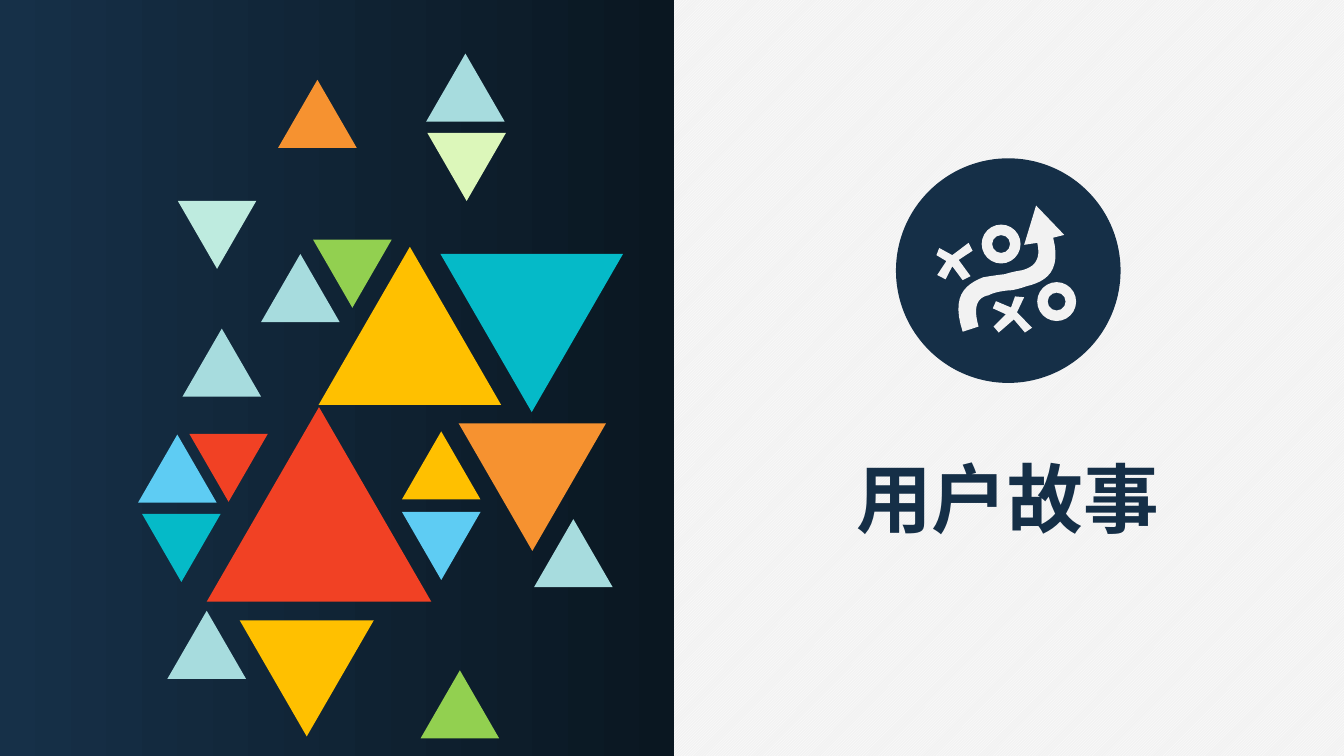
from math import sqrt
from typing import NamedTuple

from lxml.etree import SubElement
from pptx import Presentation
from pptx.dml.color import RGBColor
from pptx.enum.dml import MSO_PATTERN as Pattern
from pptx.enum.shapes import MSO_SHAPE as Kind
from pptx.enum.text import MSO_ANCHOR as Anchor, PP_ALIGN as Align
from pptx.oxml.ns import qn
from pptx.util import Cm, Pt

NAVY, NIGHT, PALE = "152F47", "0A1721", "F2F2F2"
AQUA, TEAL, SKY, MINT = "A7DCDE", "05BAC8", "5ECCF3", "BEEBDF"
RED, ORANGE, GOLD, GREEN, LIME = "F14124", "F69230", "FFC000", "92D050", "DCF7BA"
FONT = "Noto Sans CJK SC"
SMALL = 1.98


class Tile(NamedTuple):
    """An equilateral triangle: place and side in cm."""
    left: float
    top: float
    color: str
    down: bool = False
    side: float = SMALL


class Curve(NamedTuple):
    """A cubic curve from the current point to the end."""
    first: tuple
    second: tuple
    end: tuple


TILES = [
    Tile(6.58, 6.4, AQUA),
    Tile(10.74, 1.35, AQUA),
    Tile(4.48, 5.06, MINT, down=True),
    Tile(11.1, 6.4, TEAL, down=True, side=4.6),
    Tile(5.21, 10.26, RED, side=5.66),
    Tile(4.22, 15.39, AQUA),
    Tile(3.48, 10.95, SKY),
    Tile(7.01, 2.01, ORANGE),
    Tile(4.6, 8.28, AQUA),
    Tile(7.89, 6.04, GREEN, down=True),
    Tile(10.77, 3.35, LIME, down=True),
    Tile(3.58, 12.95, TEAL, down=True),
    Tile(11.56, 10.67, ORANGE, down=True, side=3.71),
    Tile(10.13, 10.87, GOLD),
    Tile(10.13, 12.9, SKY, down=True),
    Tile(4.77, 10.93, RED, down=True),
    Tile(6.04, 15.63, GOLD, down=True, side=3.38),
    Tile(13.46, 13.08, AQUA),
    Tile(8.03, 6.22, GOLD, side=4.6),
    Tile(10.6, 16.89, GREEN),
]

ARROW = [
    (24.26, 8.36),
    Curve((23.98, 7.49), (24.28, 7.19), (24.77, 6.99)),
    Curve((24.94, 6.96), (25.15, 6.93), (25.32, 6.91)),
    Curve((25.48, 6.86), (25.63, 6.83), (25.76, 6.81)),
    Curve((26.06, 6.73), (26.24, 6.55), (26.14, 6.12)),
    (25.81, 6.17), (26.11, 5.18), (26.82, 5.92), (26.54, 5.99),
    Curve((26.75, 6.81), (26.39, 7.09), (25.88, 7.21)),
    Curve((25.73, 7.26), (25.55, 7.32), (25.4, 7.32)),
    Curve((25.22, 7.34), (25.04, 7.37), (24.92, 7.44)),
    Curve((24.64, 7.49), (24.51, 7.7), (24.66, 8.23)),
]
CROSSES = [
    [(23.67, 6.25), (23.6, 6.43), (23.85, 6.58), (23.62, 6.93),
     (23.83, 7.04), (24, 6.71), (24.26, 7.06), (24.46, 6.96),
     (24.16, 6.55), (24.51, 6.32), (24.41, 6.12), (24, 6.43)],
    [(25.81, 7.49), (25.58, 7.47), (25.48, 7.75), (25.1, 7.59),
     (25.02, 7.77), (25.35, 7.92), (25.04, 8.23), (25.17, 8.38),
     (25.55, 8.05), (25.83, 8.38), (26.01, 8.26), (25.63, 7.87)],
]
RINGS = [(24.74, 5.66), (26.14, 7.11)]


def tint(color: str) -> RGBColor:
    """Turn a hex string into a colour."""
    return RGBColor.from_string(color)


def paint(shape, color: str):
    """Give a shape a plain fill with no line or shadow."""
    shape.shadow.inherit = False
    shape.line.fill.background()
    shape.fill.solid()
    shape.fill.fore_color.rgb = tint(color)
    return shape


def draw(shapes, kind, left: float, top: float, wide: float, high: float, color: str):
    """Add a painted preset shape, sized in cm."""
    shape = shapes.add_shape(kind, Cm(left), Cm(top), Cm(wide), Cm(high))
    return paint(shape, color)


def add_tile(shapes, tile: Tile) -> None:
    """Add one triangle, turned over if it points down."""
    shape = draw(shapes, Kind.ISOSCELES_TRIANGLE, tile.left, tile.top,
                 tile.side, tile.side * sqrt(3) / 2, tile.color)
    shape.rotation = 180 if tile.down else 0


def trace(steps: list, count: int = 12) -> list:
    """Turn points and curves into a list of points."""
    dots = []
    for step in steps:
        if not isinstance(step, Curve):
            dots.append(step)
            continue
        start = dots[-1]
        for i in range(1, count + 1):
            t = i / count
            u = 1 - t
            dots.append(tuple(
                u**3 * a + 3 * u * u * t * b + 3 * u * t * t * c + t**3 * d
                for a, b, c, d in zip(start, *step)))
    return dots


def outline(shapes, steps: list, color: str) -> None:
    """Add a closed painted outline."""
    dots = [(Cm(x), Cm(y)) for x, y in trace(steps)]
    form = shapes.build_freeform(*dots[0])
    form.add_line_segments(dots[1:], close=True)
    paint(form.convert_to_shape(), color)


def write(frame, text: str, *, size: float, color: str, bold: bool = False,
          align=Align.CENTER, anchor=Anchor.MIDDLE, wrap: bool = False) -> None:
    """Fill a text frame with one formatted line."""
    frame.word_wrap = wrap
    frame.vertical_anchor = anchor
    line = frame.paragraphs[0]
    line.alignment = align
    run = line.add_run()
    run.text = text
    font = run.font
    font.name, font.size, font.bold = FONT, Pt(size), bold
    font.color.rgb = tint(color)
    SubElement(run._r.get_or_add_rPr(), qn("a:ea")).set("typeface", FONT)


def add_panel(shapes) -> None:
    """Add the dark left panel with its gradient."""
    panel = draw(shapes, Kind.RECTANGLE, 0, 0, 17, 19.05, NAVY)
    panel.fill.gradient()
    panel.fill.gradient_angle = 0
    for stop, color in zip(panel.fill.gradient_stops, ("163048", NIGHT)):
        stop.color.rgb = tint(color)


def add_badge(shapes) -> None:
    """Add the round badge with arrow, crosses and rings."""
    badge = shapes.add_group_shape().shapes
    draw(badge, Kind.OVAL, 22.58, 3.99, 5.66, 5.66, NAVY)
    for steps in (ARROW, *CROSSES):
        outline(badge, steps, PALE)
    for left, top in RINGS:
        ring = draw(badge, Kind.DONUT, left, top, 0.98, 0.98, PALE)
        ring.adjustments[0] = 0.27


def main() -> None:
    """Build the slide and save it."""
    deck = Presentation()
    deck.slide_width, deck.slide_height = Cm(33.87), Cm(19.05)
    slide = deck.slides.add_slide(deck.slide_layouts.get_by_name("Title Only"))

    back = slide.background.fill
    back.patterned()
    back.pattern = Pattern.LIGHT_UPWARD_DIAGONAL
    back.fore_color.rgb, back.back_color.rgb = tint("FFFFFF"), tint(PALE)

    title = slide.shapes.title
    title.left, title.top = Cm(21.29), Cm(11.25)
    title.width, title.height = Cm(8.2), Cm(2.57)
    write(title.text_frame, "用户故事", size=54, color=NAVY, bold=True)

    add_panel(slide.shapes)
    add_badge(slide.shapes)
    for tile in TILES:
        add_tile(slide.shapes, tile)
    deck.save("out.pptx")


main()
